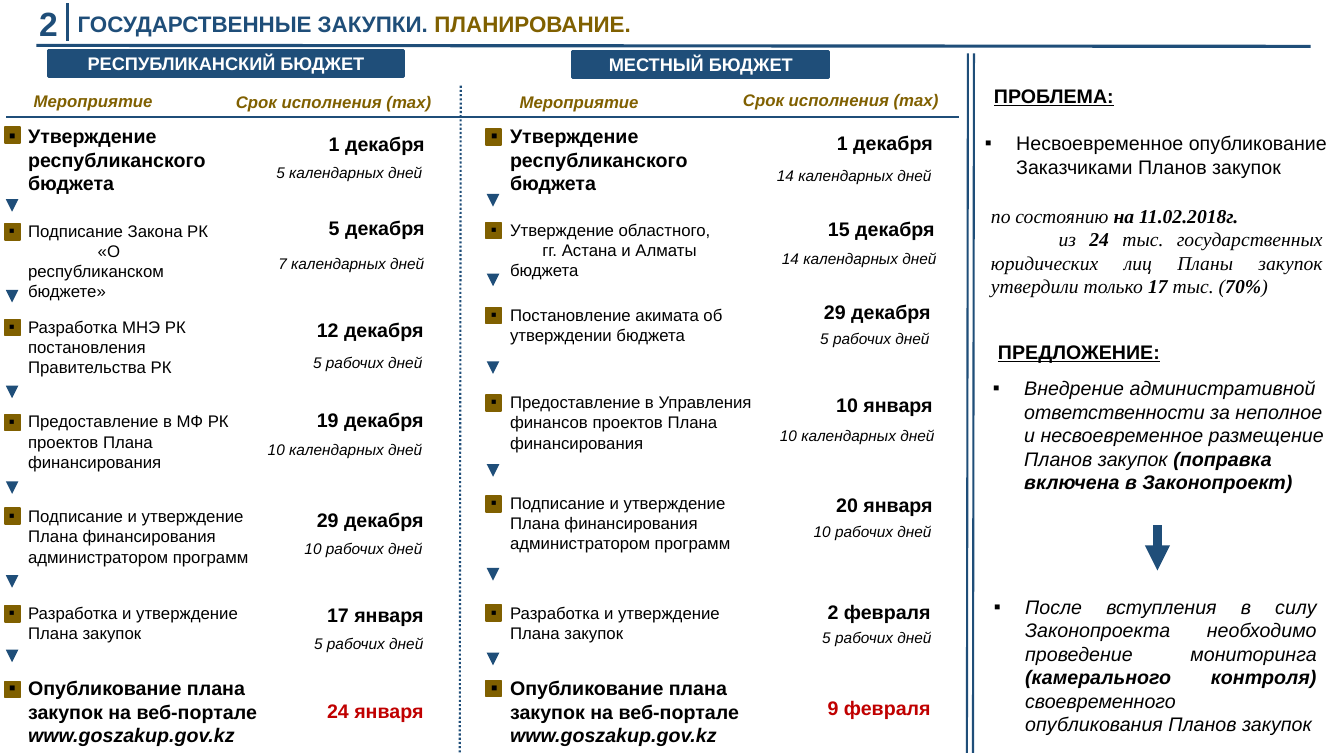
from dataclasses import dataclass
from typing import NamedTuple

from lxml.etree import SubElement
from pptx import Presentation
from pptx.dml.color import RGBColor
from pptx.enum.dml import MSO_LINE
from pptx.enum.shapes import MSO_CONNECTOR, MSO_SHAPE
from pptx.enum.text import MSO_ANCHOR, MSO_AUTO_SIZE, PP_ALIGN
from pptx.oxml.ns import qn
from pptx.util import Inches, Pt

BLUE, GOLD, BLACK, RED, WHITE = "1F4E79", "806000", "000000", "C00000", "FFFFFF"
LEFT, MID, RIGHT, FULL = PP_ALIGN.LEFT, PP_ALIGN.CENTER, PP_ALIGN.RIGHT, PP_ALIGN.JUSTIFY


class Run(NamedTuple):
    text: str
    bold: bool = False
    slant: bool = False
    color: str = BLACK
    under: bool = False


@dataclass
class Para:
    runs: list[Run]
    align: PP_ALIGN = LEFT
    edge: float = 0
    first: float = 0
    bullet: bool = False


class Step(NamedTuple):
    paras: list[Para]
    top: float
    width: float
    mark: float
    date: str
    date_y: float
    date_x: float
    term: str = ""
    term_y: float = 0
    term_x: float = 0
    arrow: float = 0


@dataclass
class Column:
    name: str
    badge: tuple[float, float, float]
    heads: list[tuple[str, float, float, float]]
    rule: tuple[float, float]
    text_x: float
    mark_x: float
    arrow_x: float
    steps: list[Step]


def rgb(code: str) -> RGBColor:
    return RGBColor.from_string(code)


def item(*runs: Run, edge: float = 0.19, align: PP_ALIGN = LEFT) -> Para:
    return Para(list(runs), align, edge, -edge, True)


def write(shape, paras: list[Para], size: float, font: str = "Arial",
          anchor: MSO_ANCHOR = MSO_ANCHOR.TOP) -> None:
    frame = shape.text_frame
    frame.word_wrap = True
    frame.vertical_anchor = anchor
    for n, para in enumerate(paras):
        line = frame.add_paragraph() if n else frame.paragraphs[0]
        line.alignment = para.align
        props = line._p.get_or_add_pPr()
        props.set("marL", str(Inches(para.edge)))
        props.set("indent", str(Inches(para.first)))
        if para.bullet:
            SubElement(props, qn("a:buFont"), typeface="Arial")
            SubElement(props, qn("a:buChar"), char="▪")
        for part in para.runs:
            run = line.add_run()
            run.text = part.text
            face = run.font
            face.name, face.size = font, Pt(size)
            face.bold, face.italic, face.underline = part.bold, part.slant, part.under
            face.color.rgb = rgb(part.color)


def add_text(x: float, y: float, w: float, h: float, paras: list[Para],
             size: float, font: str = "Arial") -> None:
    box = slide.shapes.add_textbox(Inches(x), Inches(y), Inches(w), Inches(h))
    write(box, paras, size, font)
    box.text_frame.auto_size = MSO_AUTO_SIZE.SHAPE_TO_FIT_TEXT


def add_block(kind: MSO_SHAPE, x: float, y: float, w: float, h: float,
              color: str, weight: float):
    block = slide.shapes.add_shape(kind, Inches(x), Inches(y), Inches(w), Inches(h))
    block.shadow.inherit = False
    block.fill.solid()
    block.fill.fore_color.rgb = rgb(color)
    block.line.color.rgb = rgb(color)
    block.line.width = Pt(weight)
    return block


def add_line(x1: float, y1: float, x2: float, y2: float, weight: float,
             dots: bool = False, arrow: bool = False) -> None:
    line = slide.shapes.add_connector(
        MSO_CONNECTOR.STRAIGHT, Inches(x1), Inches(y1), Inches(x2), Inches(y2))
    line.line.color.rgb = rgb(BLUE)
    line.line.width = Pt(weight)
    if dots:
        line.line.dash_style = MSO_LINE.ROUND_DOT
    if arrow:
        SubElement(line.line._get_or_add_ln(), qn("a:tailEnd"), type="triangle")
    SubElement(line._element.spPr, qn("a:effectLst"))


def draw_step(col: Column, step: Step, last: bool) -> None:
    add_block(MSO_SHAPE.RECTANGLE, col.mark_x, step.mark, 0.15, 0.16, GOLD, 1)
    size = 14 if step.paras[0].runs[0].bold else 12
    add_text(col.text_x, step.top, step.width, 0.71, step.paras, size)
    date = Run(step.date, bold=True, color=RED if last else BLACK)
    add_text(step.date_x - 1.45, step.date_y, 1.45, 0.34, [Para([date], RIGHT)], 14)
    if not last:
        term = Run(step.term, slant=True)
        add_text(step.term_x - 2, step.term_y, 2, 0.29, [Para([term], RIGHT)], 11)
        add_line(col.arrow_x, step.arrow, col.arrow_x, step.arrow + 0.1, 3, arrow=True)


def draw_column(col: Column) -> None:
    x, y, w = col.badge
    badge = add_block(MSO_SHAPE.ROUNDED_RECTANGLE, x, y, w, 0.26, BLUE, 2.25)
    badge.adjustments[0] = 0
    write(badge, [Para([Run(col.name, True, color=WHITE)], MID)], 13, anchor=MSO_ANCHOR.MIDDLE)
    for text, x, y, w in col.heads:
        add_text(x, y, w, 0.3, [Para([Run(text, True, True, GOLD)], MID)], 12)
    add_line(col.rule[0], 1.16, col.rule[1], 1.16, 1.5)
    for step in col.steps:
        draw_step(col, step, step is col.steps[-1])


# Shared step texts
start = [item(Run("Утверждение республиканского бюджета", True))]
sign = [item(Run("Подписание и утверждение Плана финансирования администратором программ"))]
draft = [item(Run("Разработка и утверждение Плана закупок"))]
post = [item(Run("Опубликование плана закупок на веб-портале ", True),
             Run("www.goszakup.gov.kz", True, True))]
law = [item(Run("Подписание Закона РК")),
       Para([Run("«О республиканском бюджете»")], edge=0.19, first=0.69)]
towns = [item(Run("Утверждение областного,")),
         Para([Run("гг. Астана и Алматы бюджета")], edge=0.19, first=0.32)]

# Two budget columns
state = Column(
    "РЕСПУБЛИКАНСКИЙ БЮДЖЕТ", (0.48, 0.5, 3.52),
    [("Мероприятие", 0.21, 0.85, 1.43), ("Срок исполнения (max)", 2.23, 0.86, 2.16)],
    (0.06, 5.09), -0.01, 0.05, 0.12,
    [Step(start, 1.18, 2.74, 1.26, "1 декабря", 1.26, 4.31, "5 календарных дней", 1.57, 4.29, 2),
     Step(law, 2.14, 2.35, 2.22, "5 декабря", 2.09, 4.31, "7 календарных дней", 2.47, 4.31, 2.9),
     Step([item(Run("Разработка МНЭ РК постановления Правительства РК"))],
          3.09, 2.74, 3.17, "12 декабря", 3.11, 4.3, "5 рабочих дней", 3.45, 4.29, 3.85),
     Step([item(Run("Предоставление в МФ РК проектов Плана финансирования"))],
          4.03, 2.73, 4.11, "19 декабря", 4, 4.3, "10 календарных дней", 4.32, 4.29, 4.8),
     Step(sign, 4.97, 2.89, 5.04, "29 декабря", 4.99, 4.3, "10 рабочих дней", 5.3, 4.29, 5.73),
     Step(draft, 5.93, 2.75, 6.01, "17 января", 5.93, 4.3, "5 рабочих дней", 6.24, 4.3, 6.47),
     Step(post, 6.66, 2.76, 6.76, "24 января", 6.88, 4.3)])
local = Column(
    "МЕСТНЫЙ БЮДЖЕТ", (5.68, 0.51, 2.54),
    [("Мероприятие", 4.83, 0.86, 1.83), ("Срок исполнения (max)", 7.21, 0.84, 2.26)],
    (5.09, 9.51), 4.77, 4.82, 4.89,
    [Step(start, 1.18, 2.54, 1.28, "1 декабря", 1.25, 9.35, "14 календарных дней", 1.6, 9.34, 1.95),
     Step(towns, 2.13, 2.67, 2.21, "15 декабря", 2.1, 9.37, "14 календарных дней", 2.42, 9.39, 2.74),
     Step([item(Run("Постановление акимата об утверждении бюджета"))],
          2.97, 2.93, 3.05, "29 декабря", 2.93, 9.33, "5 рабочих дней", 3.22, 9.32, 3.61),
     Step([item(Run("Предоставление в Управления финансов проектов Плана финансирования"))],
          3.84, 2.81, 3.92, "10 января", 3.85, 9.35, "10 календарных дней", 4.18, 9.37, 4.63),
     Step(sign, 4.84, 2.65, 4.92, "20 января", 4.84, 9.35, "10 рабочих дней", 5.13, 9.34, 5.66),
     Step(draft, 5.93, 2.67, 6, "2 февраля", 5.9, 9.33, "5 рабочих дней", 6.18, 9.34, 6.5),
     Step(post, 6.66, 2.69, 6.75, "9 февраля", 6.85, 9.33)])

deck = Presentation()
deck.slide_width, deck.slide_height = Inches(13.33), Inches(7.5)
slide = deck.slides.add_slide(deck.slide_layouts[5])

# Title band
title = slide.shapes.title
title.left, title.top = Inches(0.67), Inches(0.05)
title.width, title.height = Inches(6.87), Inches(0.37)
write(title, [Para([Run("ГОСУДАРСТВЕННЫЕ ЗАКУПКИ. ", True, color=BLUE),
                    Run("ПЛАНИРОВАНИЕ.", True, color=GOLD)])], 16)
title.text_frame.auto_size = MSO_AUTO_SIZE.SHAPE_TO_FIT_TEXT
add_text(0.29, -0.02, 0.39, 0.5, [Para([Run("2", True, color=BLUE)])], 24)
add_line(0.36, 0.45, 13, 0.46, 2.25)
add_line(0.67, 0.03, 0.67, 0.41, 2.25)

# Columns and dividers
for col in (state, local):
    draw_column(col)
add_line(4.57, 0.85, 4.56, 7.47, 1.5, dots=True)
for x in (9.6, 9.66):
    add_line(x, 0.53, x - 0.01, 7.47, 1.5)

# Problem and proposal
for text, x, y, w in (("ПРОБЛЕМА:", 9.76, 0.78, 1.47), ("ПРЕДЛОЖЕНИЕ:", 9.8, 3.32, 2.17)):
    add_text(x, y, w, 0.34, [Para([Run(text, True, under=True)])], 14)
add_text(9.67, 1.25, 3.68, 0.57, [item(
    Run("Несвоевременное опубликование Заказчиками Планов закупок"), edge=0.31)], 14)
add_text(9.73, 1.97, 3.49, 1.04, [
    Para([Run("по состоянию ", slant=True), Run("на 11.02.2018г.", True, True)], FULL),
    Para([Run("из ", slant=True), Run("24", True, True),
          Run(" тыс. государственных юридических лиц Планы закупок утвердили только ", slant=True),
          Run("17", True, True), Run(" тыс. (", slant=True),
          Run("70%", True, True), Run(")", slant=True)], FULL, first=0.67)],
    14, "Times New Roman")
add_text(9.75, 3.68, 3.55, 1.28, [item(
    Run("Внедрение административной ответственности за неполное и несвоевременное "
        "размещение Планов закупок ", slant=True),
    Run("(поправка включена в Законопроект)", True, True), edge=0.31)], 14)
add_line(11.48, 5.21, 11.48, 5.66, 6, arrow=True)
add_text(9.76, 5.85, 3.4, 1.51, [item(
    Run("После вступления в силу Законопроекта необходимо проведение мониторинга ", slant=True),
    Run("(камерального контроля) ", True, True),
    Run("своевременного опубликования Планов закупок", slant=True),
    edge=0.31, align=FULL)], 14)

deck.save("out.pptx")
